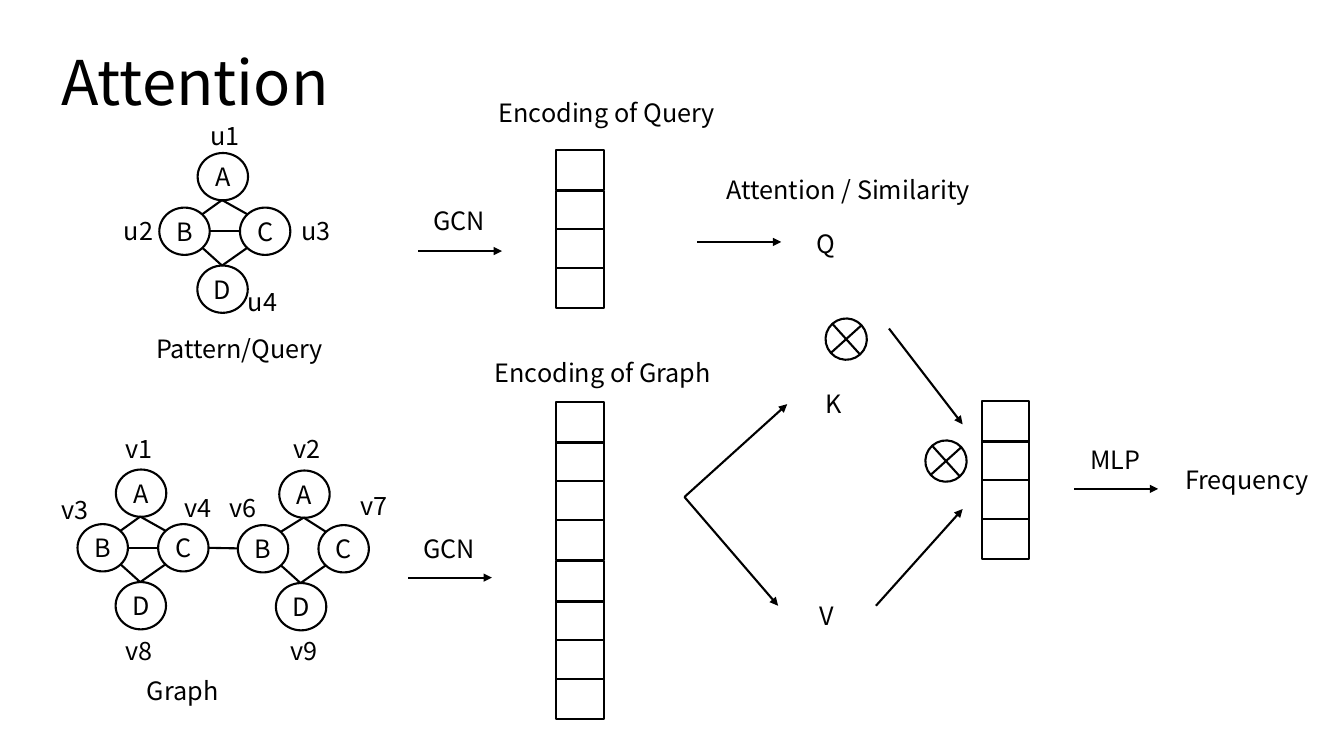
from lxml import etree
from pptx import Presentation
from pptx.dml.color import RGBColor
from pptx.enum.shapes import MSO_CONNECTOR, MSO_SHAPE
from pptx.enum.text import MSO_ANCHOR, PP_ALIGN
from pptx.oxml.ns import qn
from pptx.util import Pt

BLACK = RGBColor(0, 0, 0)
WHITE = RGBColor(255, 255, 255)
FONT = "Noto Sans CJK SC"
LINE_W = 1.5
OVAL, RECT, OTIMES = MSO_SHAPE.OVAL, MSO_SHAPE.RECTANGLE, MSO_SHAPE.FLOWCHART_OR
STRAIGHT = MSO_CONNECTOR.STRAIGHT
MIDDLE, CENTER = MSO_ANCHOR.MIDDLE, PP_ALIGN.CENTER

prs = Presentation()
prs.slide_width, prs.slide_height = Pt(960), Pt(540)
s = prs.slides.add_slide(prs.slide_layouts[6])


def add_box(kind, x, y, w, h, text="", size=18, filled=True):
    """Add an outlined shape, or a text box when kind is None."""
    box = [Pt(v) for v in (x, y, w, h)]
    if kind is None:
        sp = s.shapes.add_textbox(*box)
    else:
        sp = s.shapes.add_shape(kind, *box)
        sp.shadow.inherit = False
        sp.line.color.rgb, sp.line.width = BLACK, Pt(LINE_W)
        if filled:
            sp.fill.solid()
            sp.fill.fore_color.rgb = WHITE
        else:
            sp.fill.background()
    tf = sp.text_frame
    tf.word_wrap = True
    if text:
        p = tf.paragraphs[0]
        r = p.add_run()
        r.text = text
        for name, value in {"name": FONT, "size": Pt(size)}.items():
            setattr(r.font, name, value)
        r.font.color.rgb = BLACK
        if kind is not None:
            p.alignment = CENTER
            frame = {"vertical_anchor": MIDDLE, "margin_left": 0, "margin_right": 0,
                     "margin_top": 0, "margin_bottom": 0}
            for name, value in frame.items():
                setattr(tf, name, value)
    return sp


def add_line(x1, y1, x2, y2, arrow=False):
    """Add a straight line, with an arrowhead at its end if asked."""
    c = s.shapes.add_connector(STRAIGHT, Pt(x1), Pt(y1), Pt(x2), Pt(y2))
    c.line.color.rgb, c.line.width = BLACK, Pt(LINE_W)
    if arrow:
        etree.SubElement(c.line._get_or_add_ln(), qn("a:tailEnd"), type="triangle")
    etree.SubElement(c._element.spPr, qn("a:effectLst"))


# Title
sp = add_box(None, 36.7, 8.6, 828, 104.4, "Attention", 44)
sp.text_frame.vertical_anchor = MIDDLE
sp.text_frame.paragraphs[0].line_spacing = 0.9

# Diamond graphs: left and top of node B, shift of node A, edge between B and C
NODE_W, NODE_H = 36, 33.8
DIAMONDS = [
    (113.8, 148.3, 0, True),
    (55.4, 374.4, 0, True),
    (169.9, 375.1, 2.2, False),
]
for x, y, shift, joined in DIAMONDS:
    nodes = [("A", 27.4 + shift, -39), ("B", 0, 0), ("C", 57.6, 0), ("D", 27.2, 41.4)]
    for letter, dx, dy in nodes:
        add_box(OVAL, x + dx, y + dy, NODE_W, NODE_H, letter)
    apex, foot = (44.8 + shift, -5.4), (44.8, 41.4)
    for tip, side_y in ((apex, 4.8), (foot, 28.6)):
        for side_x in (30.6, 63):
            add_line(x + tip[0], y + tip[1], x + side_x, y + side_y)
    if joined:
        add_line(x + NODE_W, y + NODE_H / 2, x + 57.6, y + NODE_H / 2)
add_line(149, 391.3, 169.9, 391.7)

# Encoding vectors in blocks of four cells
for x, y in [(397.4, 107.2), (397.4, 287.3), (397.4, 400.9), (701.3, 286.6)]:
    for dy in (0, 29, 56.4, 84):
        add_box(RECT, x, y + dy, 33.8, 28.8)

# Labels
LABELS = [
    # nodes of the query
    ("u1", 143.3, 82.1, 44.6), ("u2", 81.4, 150.5, 44.6),
    ("u3", 208.1, 150.5, 44.6), ("u4", 169.9, 200.9, 44.6),
    # nodes of the graph
    ("v1", 82.8, 306, 44.6), ("v2", 202.3, 306, 44.6),
    ("v3", 36.7, 349.2, 44.6), ("v4", 124.6, 347.8, 44.6),
    ("v6", 157, 347.8, 44.6), ("v7", 250.6, 347, 44.6),
    ("v8", 82.8, 450, 44.6), ("v9", 200.2, 450, 44.6),
    # captions
    ("Pattern/Query", 104.4, 234.7, 134), ("Graph", 97.9, 478.8, 200),
    ("Encoding of Query", 349.2, 66.2, 232), ("Encoding of Graph", 346.3, 252, 232),
    ("Attention / Similarity", 511.9, 121, 232), ("Frequency", 839.5, 328.3, 115.2),
    # steps and attention inputs
    ("GCN", 302.4, 143.3, 67), ("GCN", 295.2, 377.3, 67), ("MLP", 771.8, 313.9, 67),
    ("Q", 576, 159.8, 67), ("K", 582.5, 273.6, 67), ("V", 578.2, 425.5, 67),
]
for text, x, y, w in LABELS:
    add_box(None, x, y, w, 28.8, text)

# Flow arrows
for x, y in [(298.8, 179.3), (291.6, 412.6), (498.2, 172.8), (767.5, 349.2)]:
    add_line(x, y, x + 59.8, y, arrow=True)
for ends in [(488.9, 355, 562.3, 288.7), (488.9, 355, 555.8, 432.7),
             (635, 234.7, 687.6, 303.1), (625.7, 432.7, 687.6, 363.6)]:
    add_line(*ends, arrow=True)

# Product signs
for x, y in [(661, 314.6), (589.7, 227.5)]:
    add_box(OTIMES, x, y, 29.5, 29.5, filled=False).rotation = 47.9

prs.save("out.pptx")
